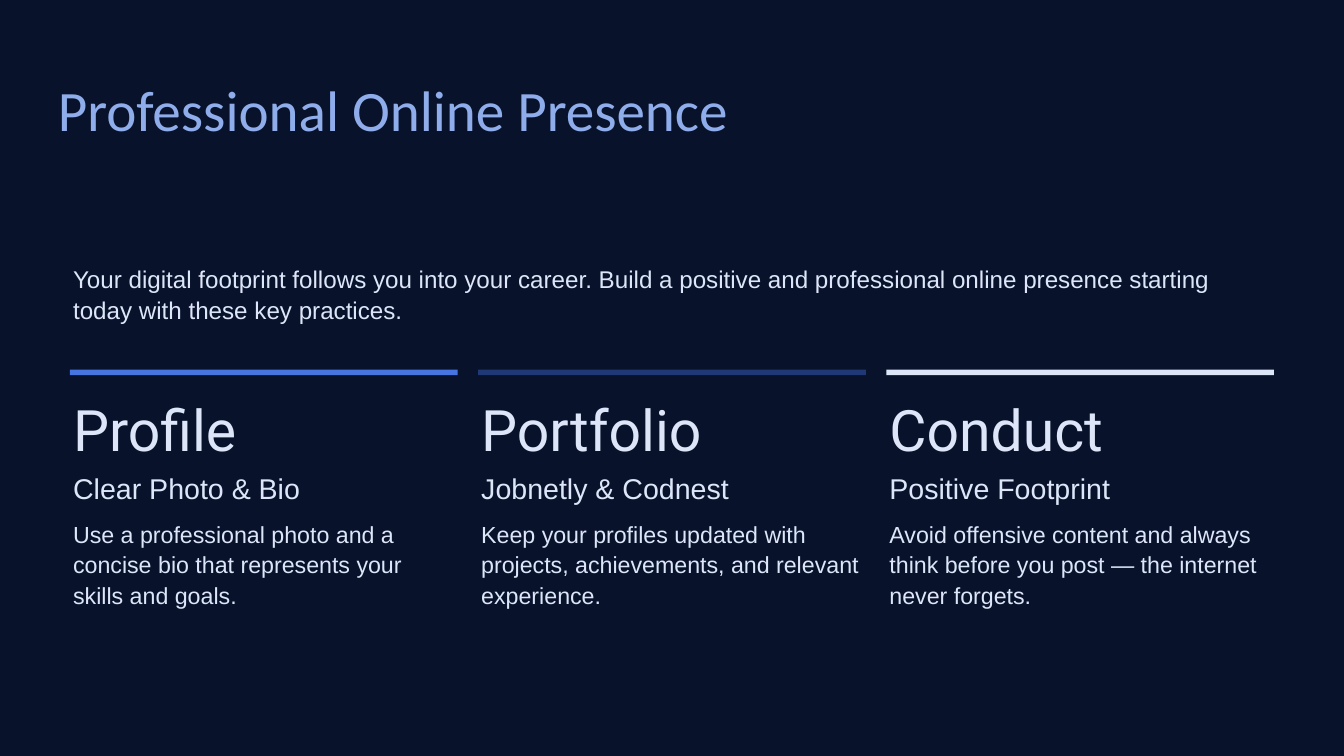
from dataclasses import dataclass

from pptx import Presentation
from pptx.dml.color import RGBColor
from pptx.enum.shapes import MSO_SHAPE
from pptx.enum.text import MSO_ANCHOR, MSO_AUTO_SIZE, PP_ALIGN
from pptx.util import Pt


@dataclass(frozen=True)
class Style:
    """Font, size, line height and colour of a text."""
    font: str
    size: float
    line: float
    color: str


@dataclass(frozen=True)
class Theme:
    """Colours and type styles of the slide."""
    back: str = "09122B"
    bars: tuple = ("4674E1", "203876", "DCE6F8")
    title: Style = Style("Calibri", 61.2, 73.1, "8FADEB")
    intro: Style = Style("Arial", 25.9, 34, "DCE6F8")
    head: Style = Style("Roboto", 61.2, 73.1, "DCE6F8")
    sub: Style = Style("Arial", 30.6, 36.2, "DCE6F8")
    body: Style = Style("Arial", 24.9, 32.7, "DCE6F8")


THEME = Theme()
TITLE = "Professional Online Presence"
INTRO = ("Your digital footprint follows you into your career. Build a positive "
         "and professional online presence starting today with these key practices.")
CARDS = [
    ("Profile", "Clear Photo & Bio",
     "Use a professional photo and a concise bio that represents your skills and goals."),
    ("Portfolio", "Jobnetly & Codnest",
     "Keep your profiles updated with projects, achievements, and relevant experience."),
    ("Conduct", "Positive Footprint",
     "Avoid offensive content and always think before you post — the internet never forgets."),
]


def paint(fill, color):
    """Give a fill one solid colour."""
    fill.solid()
    fill.fore_color.rgb = RGBColor.from_string(color)


def write(shape, text, style):
    """Set one styled paragraph in a shape without margins."""
    frame = shape.text_frame
    frame.word_wrap = True
    frame.auto_size = MSO_AUTO_SIZE.NONE
    frame.vertical_anchor = MSO_ANCHOR.TOP
    frame.margin_left = frame.margin_right = 0
    frame.margin_top = frame.margin_bottom = 0
    para = frame.paragraphs[0]
    para.alignment = PP_ALIGN.LEFT
    para.line_spacing = Pt(style.line)
    para.space_before = Pt(0)
    run = para.add_run()
    run.text = text
    run.font.name = style.font
    run.font.size = Pt(style.size)
    run.font.color.rgb = RGBColor.from_string(style.color)


def add_text(slide, box, text, style):
    """Add a text box at the given box."""
    write(slide.shapes.add_textbox(*map(Pt, box)), text, style)


def add_title(slide, box):
    """Place and fill the title placeholder."""
    title = slide.shapes.title
    title.left, title.top, title.width, title.height = map(Pt, box)
    write(title, TITLE, THEME.title)


def add_card(slide, box, card, color):
    """Add a coloured bar with heading, subtitle and body below it."""
    left, top, width, height = box
    bar = slide.shapes.add_shape(MSO_SHAPE.RECTANGLE, *map(Pt, (left, top, width, 6)))
    bar.shadow.inherit = False
    paint(bar.fill, color)
    bar.line.fill.background()
    inset = 3.3
    styles = (THEME.head, THEME.sub, THEME.body)
    starts = (27.4, 109.4, 158.4)
    ends = (101.5, 147.5, height)
    for text, style, start, end in zip(card, styles, starts, ends):
        area = (left + inset, top + start, width - 2 * inset, end - start)
        add_text(slide, area, text, style)


def add_cards(slide, box, gap):
    """Share the box among equal columns."""
    left, top, width, height = box
    each = (width - gap * (len(CARDS) - 1)) / len(CARDS)
    for i, (card, color) in enumerate(zip(CARDS, THEME.bars)):
        add_card(slide, (left + i * (each + gap), top, each, height), card, color)


def main():
    """Build and save the slide."""
    deck = Presentation()
    deck.slide_width, deck.slide_height = Pt(1440), Pt(810)
    slide = deck.slides.add_slide(deck.slide_layouts[5])
    paint(slide.background.fill, THEME.back)
    add_title(slide, (62, 80, 1361, 151))
    add_text(slide, (78.3, 280, 1284, 68), INTRO, THEME.intro)
    add_cards(slide, (75, 396, 1290, 256), 22)
    deck.save("out.pptx")


if __name__ == "__main__":
    main()
